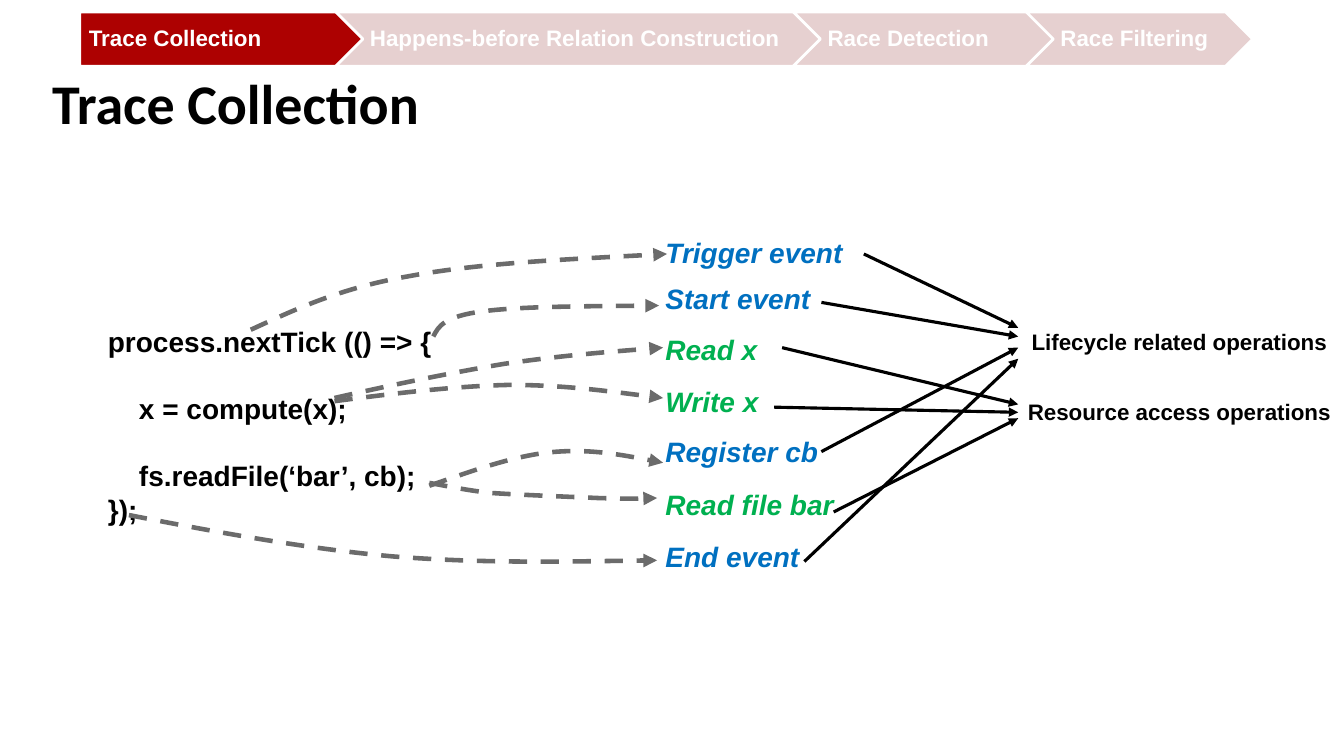
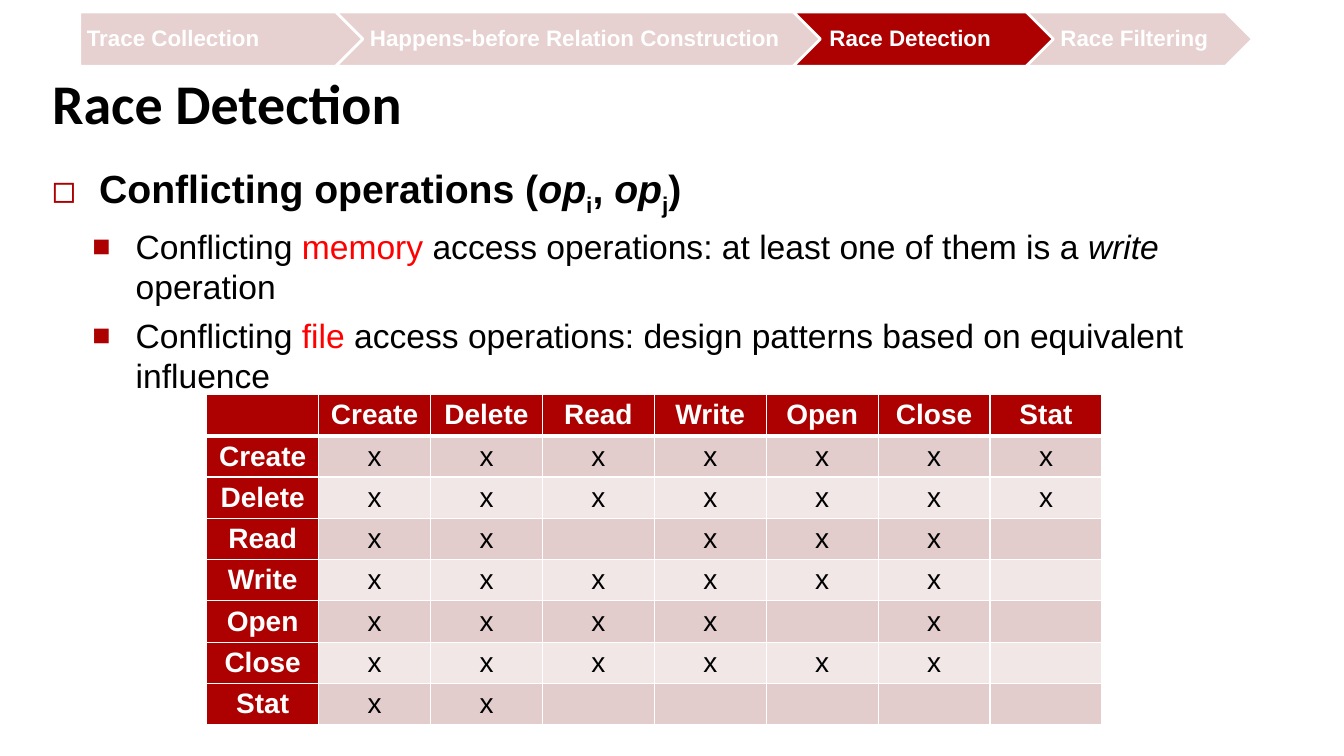
"""Build two slides on trace collection and race detection."""
from lxml import etree
from pptx import Presentation
from pptx.dml.color import RGBColor
from pptx.enum.dml import MSO_LINE
from pptx.enum.shapes import MSO_CONNECTOR, MSO_SHAPE
from pptx.enum.text import MSO_ANCHOR, PP_ALIGN
from pptx.oxml.ns import qn
from pptx.util import Cm, Pt

RED = RGBColor(0xAD, 0x01, 0x01)
PALE_RED = RGBColor(0xE6, 0xD0, 0xD0)
BAND_DARK = RGBColor(0xE3, 0xCC, 0xCC)
BAND_LIGHT = RGBColor(0xF1, 0xE7, 0xE7)
BRIGHT_RED = RGBColor(0xFF, 0x00, 0x00)
BLUE = RGBColor(0x00, 0x70, 0xC0)
GREEN = RGBColor(0x00, 0xB0, 0x50)
GRAY = RGBColor(0x6B, 0x6B, 0x6B)
BLACK = RGBColor(0x00, 0x00, 0x00)
WHITE = RGBColor(0xFF, 0xFF, 0xFF)
PENTAGON = MSO_SHAPE.PENTAGON
CHEVRON = MSO_SHAPE.CHEVRON
STRAIGHT = MSO_CONNECTOR.STRAIGHT
DASH = MSO_LINE.DASH
TOP = MSO_ANCHOR.TOP
MIDDLE = MSO_ANCHOR.MIDDLE
LEFT = PP_ALIGN.LEFT
CENTER = PP_ALIGN.CENTER


def add_span(para, text, size, color=BLACK, bold=False, italic=False, font="Arial"):
    span = para.add_run()
    span.text = text
    span.font.name = font
    span.font.size = Pt(size)
    span.font.bold = bold
    span.font.italic = italic
    span.font.color.rgb = color
    return span


def style_arrow(shape, color, width):
    shape.line.color.rgb = color
    shape.line.width = Pt(width)
    properties = shape._element.spPr
    etree.SubElement(properties.find(qn("a:ln")), qn("a:tailEnd"), type="triangle")
    etree.SubElement(properties, qn("a:effectLst"))


deck = Presentation()
deck.slide_width = Cm(33.87)
deck.slide_height = Cm(19.05)
title_only = deck.slide_layouts[5]

steps = [
    ("Trace Collection", PENTAGON, 2.01, 9.63),
    ("Happens-before Relation Construction", CHEVRON, 8.46, 14.71),
    ("Race Detection", CHEVRON, 19.99, 9.04),
    ("Race Filtering", CHEVRON, 25.86, 5.71),
]

pages = []
for heading in ("Trace Collection", "Race Detection"):
    page = deck.slides.add_slide(title_only)
    pages.append(page)
    title = page.shapes.title
    title.left, title.top, title.width, title.height = Cm(1.06), Cm(1.65), Cm(31.75), Cm(2.36)
    title.text_frame.vertical_anchor = TOP
    para = title.text_frame.paragraphs[0]
    para.alignment = LEFT
    para.line_spacing = Pt(46.7)
    add_span(para, heading, 40, bold=True, font="Calibri")
    for name, outline, left, width in steps:
        active = name == heading
        step = page.shapes.add_shape(outline, Cm(left), Cm(0.3), Cm(width), Cm(1.37))
        step.shadow.inherit = False
        step.fill.solid()
        step.fill.fore_color.rgb = RED if active else PALE_RED
        step.line.color.rgb = WHITE
        step.line.width = Pt(2)
        frame = step.text_frame
        frame.vertical_anchor = MIDDLE
        frame.margin_left = Cm(0.23 if active else 0.18)
        frame.margin_right = Cm(0.05)
        para = frame.paragraphs[0]
        para.alignment = LEFT
        para.line_spacing = 0.9
        add_span(para, name, 16, WHITE, bold=True)

trace_page, race_page = pages

code_box = trace_page.shapes.add_textbox(Cm(2.47), Cm(7.62), Cm(10.2), Cm(6.32))
frame = code_box.text_frame
frame.word_wrap = True
frame.vertical_anchor = MIDDLE
frame.margin_top = 0
code_lines = [
    ("process.nextTick (() => {", 0),
    ("    x = compute(x);", 24),
    ("    fs.readFile(‘bar’, cb);", 24),
    ("});", 0),
]
for index, (code, gap) in enumerate(code_lines):
    para = frame.add_paragraph() if index else frame.paragraphs[0]
    para.line_spacing = Pt(24)
    if gap:
        para.space_before = Pt(gap)
    add_span(para, code, 20, bold=True)

events = [
    ("Trigger event", 5.82, BLUE, (21.77, 6.4), 8.26),
    ("Start event", 6.96, BLUE, (20.7, 7.62), 8.48),
    ("Read x", 8.26, GREEN, (19.71, 8.76), 10.19),
    ("Write x", 9.56, GREEN, (19.51, 10.26), 10.39),
    ("Register cb", 10.82, BLUE, (20.7, 11.38), 8.76),
    ("Read file bar", 12.17, GREEN, (21.01, 12.9), 10.54),
    ("End event", 13.46, BLUE, (20.27, 14.15), 9.04),
]
for name, top, color, start, end_y in events:
    box = trace_page.shapes.add_textbox(Cm(16.52), Cm(top), Cm(5.97), Cm(1.11))
    box.fill.solid()
    box.fill.fore_color.rgb = WHITE
    box.text_frame.word_wrap = True
    add_span(box.text_frame.paragraphs[0], name, 20, color, bold=True, italic=True)
for name, top, color, start, end_y in events:
    arrow = trace_page.shapes.add_connector(
        STRAIGHT, Cm(start[0]), Cm(start[1]), Cm(25.66), Cm(end_y))
    style_arrow(arrow, BLACK, 2.25)

curves = [
    [(6.32, 8.31), (7.44, 7.8), (8.56, 7.26), (10.31, 6.96),
     (12.07, 6.63), (14.43, 6.53), (16.81, 6.4)],
    [(10.92, 8.48), (11.05, 8.23), (11.18, 7.98), (12.14, 7.85),
     (13.08, 7.72), (14.86, 7.72), (16.61, 7.7)],
    [(8.43, 10.03), (9.88, 9.7), (11.33, 9.4), (12.7, 9.17),
     (14.07, 8.97), (15.39, 8.86), (16.71, 8.76)],
    [(8.43, 10.11), (9.96, 9.91), (11.46, 9.73), (12.83, 9.7),
     (14.22, 9.7), (15.47, 9.88), (16.71, 10.03)],
    [(10.82, 12.17), (11.23, 12.24), (11.66, 12.34), (12.34, 12.42),
     (13.06, 12.47), (14.38, 12.52), (15.06, 12.55),
     (15.77, 12.57), (16.15, 12.57), (16.56, 12.55)],
    [(10.82, 12.24), (11.84, 11.89), (12.85, 11.51), (13.84, 11.4),
     (14.83, 11.3), (15.77, 11.48), (16.71, 11.66)],
    [(3.25, 12.98), (5.46, 13.41), (7.67, 13.82), (9.88, 14.02),
     (12.12, 14.2), (14.33, 14.15), (16.56, 14.12)],
]
for curve in curves:
    start, *points = [(Cm(x), Cm(y)) for x, y in curve]
    builder = trace_page.shapes.build_freeform(*start)
    builder.add_line_segments(points, close=False)
    arrow = builder.convert_to_shape()
    route = arrow._element.find(".//" + qn("a:path"))
    segments = route.findall(qn("a:lnTo"))
    for first in range(0, len(segments), 3):
        bezier = etree.SubElement(route, qn("a:cubicBezTo"))
        for segment in segments[first:first + 3]:
            bezier.append(segment[0])
            route.remove(segment)
    arrow.fill.background()
    arrow.line.dash_style = DASH
    style_arrow(arrow, GRAY, 3.25)

for name, top in (("Lifecycle related operations", 8.15), ("Resource access operations", 9.91)):
    box = trace_page.shapes.add_textbox(Cm(25.58), Cm(top), Cm(8.28), Cm(0.94))
    frame = box.text_frame
    frame.word_wrap = True
    frame.margin_left = frame.margin_right = 0
    frame.paragraphs[0].alignment = CENTER
    add_span(frame.paragraphs[0], name, 16, bold=True)

body = race_page.shapes.add_textbox(Cm(1.06), Cm(4.01), Cm(30.89), Cm(5.9))
frame = body.text_frame
frame.word_wrap = True
bullets = [
    ("◻", 100, 1.19, -1.19, 28, [
        ("Conflicting operations (", ""), ("op", "italic"), ("i", "sub"), (", ", ""),
        ("op", "italic"), ("j", "sub"), (")", "")]),
    ("■", 90, 2.11, -1.09, 24, [
        ("Conflicting ", ""), ("memory", "red"),
        (" access operations: at least one of them is a ", ""),
        ("write", "italic"), (" operation", "")]),
    ("■", 90, 2.11, -1.09, 24, [
        ("Conflicting ", ""), ("file", "red"),
        (" access operations: design patterns based on equivalent influence", "")]),
]
for index, (mark, percent, margin, indent, size, parts) in enumerate(bullets):
    para = frame.add_paragraph() if index else frame.paragraphs[0]
    properties = para._p.get_or_add_pPr()
    properties.set("marL", str(Cm(margin)))
    properties.set("indent", str(Cm(indent)))
    bullet_color = etree.SubElement(properties, qn("a:buClr"))
    etree.SubElement(bullet_color, qn("a:srgbClr"), val=str(RED))
    etree.SubElement(properties, qn("a:buSzPct"), val=str(percent * 1000))
    etree.SubElement(properties, qn("a:buFont"), typeface="Arial")
    etree.SubElement(properties, qn("a:buChar"), char=mark)
    para.line_spacing = 1.0
    if index:
        para.space_before = Pt(6)
    for text, style in parts:
        color = BRIGHT_RED if style == "red" else BLACK
        span = add_span(para, text, size, color, bold=index == 0, italic=style == "italic")
        if style == "sub":
            span.font._element.set("baseline", "-25000")

operations = ["Create", "Delete", "Read", "Write", "Open", "Close", "Stat"]
conflicts = ["xxxxxxx", "xxxxxxx", "xx-xxx-", "xxxxxx-", "xxxx-x-", "xxxxxx-", "xx-----"]
grid = [[""] + operations]
for name, marks in zip(operations, conflicts):
    grid.append([name] + list(marks.replace("-", " ")))
count = len(grid)
table = race_page.shapes.add_table(
    count, count, Cm(5.21), Cm(9.94), Cm(2.82 * count), Cm(1.04 * count)).table
table.horz_banding = False
for row_index, row in enumerate(grid):
    table.rows[row_index].height = Cm(1.04)
    for column_index, text in enumerate(row):
        table.columns[column_index].width = Cm(2.82)
        cell = table.cell(row_index, column_index)
        header = row_index == 0 or column_index == 0
        cell.vertical_anchor = MIDDLE
        cell.margin_top = cell.margin_bottom = Cm(0.08)
        for side in ("lnL", "lnR", "lnT", "lnB"):
            thick = (row_index, side) in ((0, "lnB"), (1, "lnT"))
            border = etree.SubElement(
                cell._tc.get_or_add_tcPr(), qn("a:" + side), w=str(Pt(3 if thick else 1)))
            paint = etree.SubElement(border, qn("a:solidFill"))
            etree.SubElement(paint, qn("a:srgbClr"), val=str(WHITE))
        cell.fill.solid()
        band = BAND_DARK if row_index % 2 else BAND_LIGHT
        cell.fill.fore_color.rgb = RED if header else band
        para = cell.text_frame.paragraphs[0]
        para.alignment = CENTER
        if text.strip():
            add_span(para, text, 20, WHITE if header else BLACK, bold=header)

deck.save("out.pptx")
